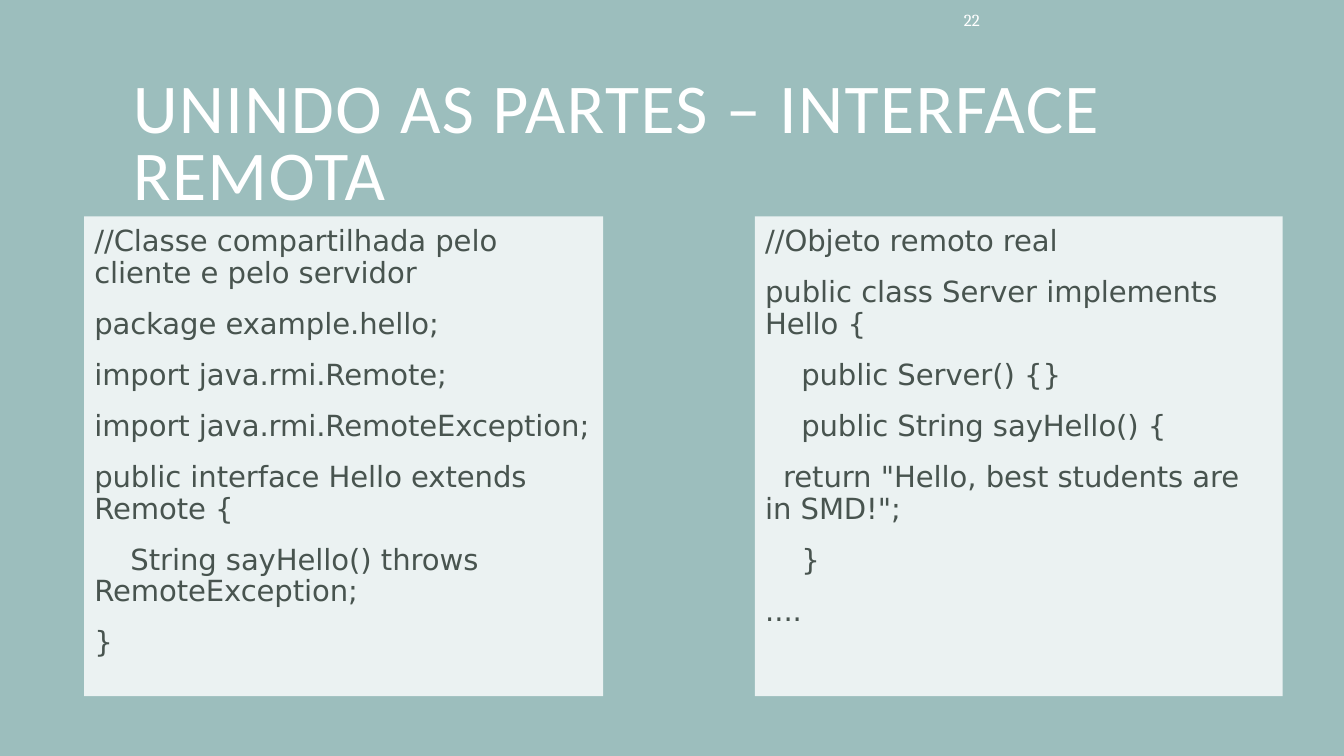
"""Builds a slide that shows a remote interface beside the class implementing it."""
from pptx import Presentation
from pptx.dml.color import RGBColor
from pptx.enum.shapes import MSO_SHAPE as Shape
from pptx.enum.text import MSO_ANCHOR as Anchor, PP_ALIGN as Align
from pptx.util import Cm, Pt

TITLE = "UNINDO AS PARTES – INTERFACE REMOTA"
PAGE_NUMBER = "22"
INTERFACE_CODE = [
    (0, "//Classe compartilhada pelo cliente e pelo servidor"),
    (0, "package example.hello;"),
    (0, "import java.rmi.Remote;"),
    (0, "import java.rmi.RemoteException;"),
    (0, "public interface Hello extends Remote {"),
    (2, "String sayHello() throws RemoteException;"),
    (0, "}"),
]
SERVER_CODE = [
    (0, "//Objeto remoto real"),
    (0, "public class Server implements Hello {"),
    (2, "public Server() {}"),
    (2, "public String sayHello() {"),
    (1, 'return "Hello, best students are in SMD!";'),
    (2, "}"),
    (0, "...."),
]
PAGE_WIDTH, PAGE_HEIGHT = 17.09, 9.61
TITLE_PLACE = (1.44, 0.81, 13.61, 2.11)
NUMBER_PLACE = (6.94, 0.02, 5.77, 0.46)
PANELS = [(1.07, 6.6, INTERFACE_CODE), (9.6, 6.71, SERVER_CODE)]
PANEL_TOP, PANEL_HEIGHT = 2.75, 6.1
INDENT_STEP = 0.23

BACKGROUND, PANEL, WHITE, INK = "9CBEBD", "EBF2F2", "FFFFFF", "48544F"
TITLE_FONT = {"name": "Calibri", "size": Pt(25.2)}
NUMBER_FONT = {"name": "Cambria", "size": Pt(6.1)}
CODE_FONT = {"name": "DejaVu Sans", "size": Pt(10.5)}
TITLE_PARAGRAPH = {"alignment": Align.LEFT, "line_spacing": 0.8}
NUMBER_PARAGRAPH = {"alignment": Align.RIGHT}
CODE_PARAGRAPH = {
    "alignment": Align.LEFT,
    "line_spacing": 0.9,
    "space_before": Pt(6.1),
    "space_after": Pt(1),
}
LABEL_FRAME = {"word_wrap": True, "vertical_anchor": Anchor.MIDDLE}
CODE_FRAME = {"word_wrap": True, "vertical_anchor": Anchor.TOP}
CODE_FRAME.update({f"margin_{side}": Cm(0.13) for side in ("left", "right", "top", "bottom")})


def paint(color_format, color):
    color_format.rgb = RGBColor.from_string(color)


def fill_with(fill, color):
    fill.solid()
    paint(fill.fore_color, color)


def apply(target, values):
    for name, value in values.items():
        setattr(target, name, value)


def write(box, lines, frame_format, paragraph_format, font_format, color):
    frame = box.text_frame
    apply(frame, frame_format)
    for index, (level, text) in enumerate(lines):
        para = frame.add_paragraph() if index else frame.paragraphs[0]
        apply(para, paragraph_format)
        if level:
            para._p.get_or_add_pPr().set("indent", str(Cm(level * INDENT_STEP)))
        span = para.add_run()
        span.text = text
        apply(span.font, font_format)
        paint(span.font.color, color)


def add_label(page, place, text, paragraph_format, font_format):
    box = page.shapes.add_textbox(*map(Cm, place))
    write(box, [(0, text)], LABEL_FRAME, paragraph_format, font_format, WHITE)
    return box


def add_panel(page, left, width, lines):
    place = map(Cm, (left, PANEL_TOP, width, PANEL_HEIGHT))
    box = page.shapes.add_shape(Shape.RECTANGLE, *place)
    box.shadow.inherit = False
    fill_with(box.fill, PANEL)
    box.line.fill.background()
    write(box, lines, CODE_FRAME, CODE_PARAGRAPH, CODE_FONT, INK)


def main():
    deck = Presentation()
    deck.slide_width, deck.slide_height = Cm(PAGE_WIDTH), Cm(PAGE_HEIGHT)
    page = deck.slides.add_slide(deck.slide_layouts[6])
    fill_with(page.background.fill, BACKGROUND)

    title = add_label(page, TITLE_PLACE, TITLE, TITLE_PARAGRAPH, TITLE_FONT)
    title.text_frame.paragraphs[0].runs[0].font._element.set("spc", "50")
    add_label(page, NUMBER_PLACE, PAGE_NUMBER, NUMBER_PARAGRAPH, NUMBER_FONT)
    for left, width, lines in PANELS:
        add_panel(page, left, width, lines)

    deck.save("out.pptx")


if __name__ == "__main__":
    main()
